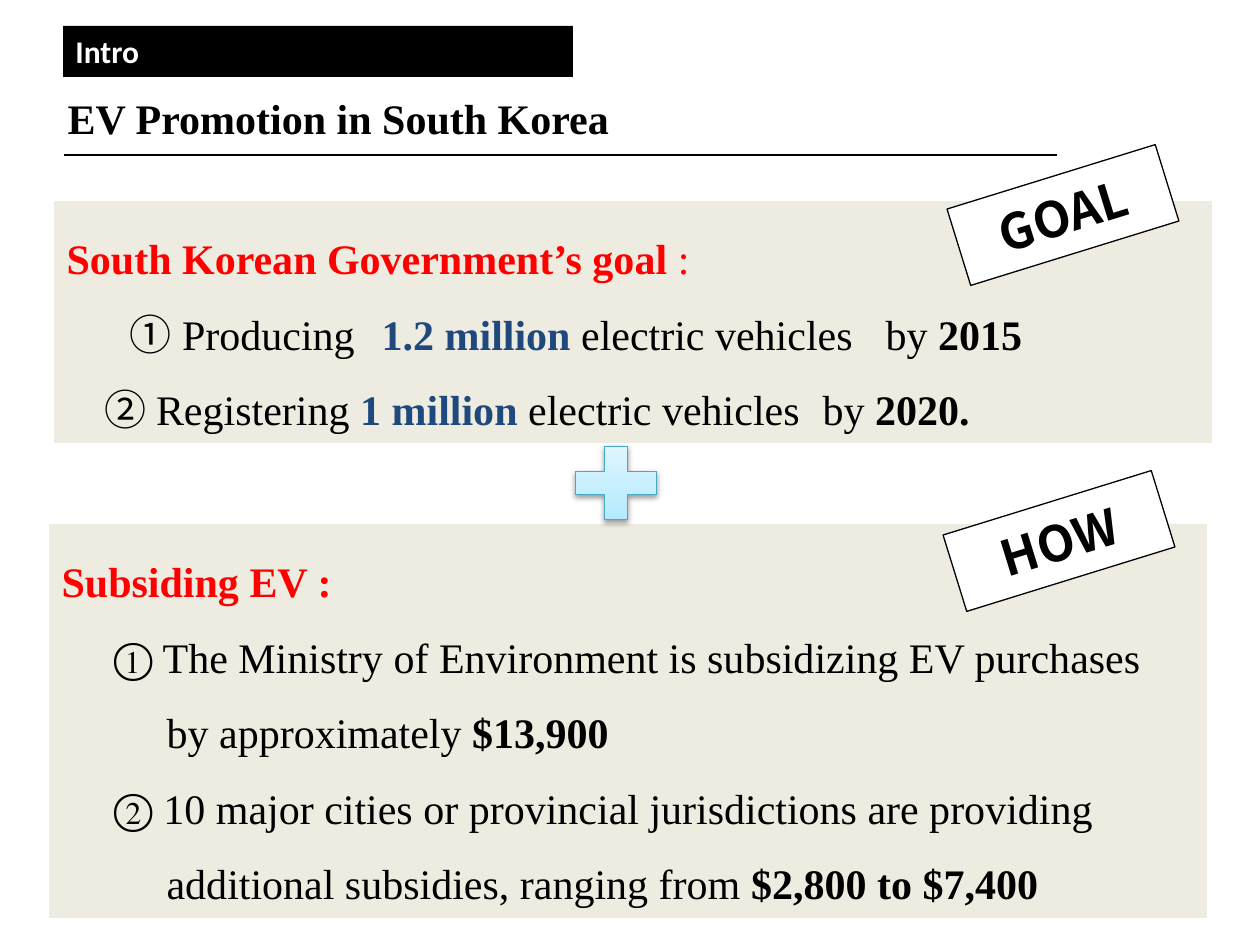
from lxml.etree import SubElement
from pptx import Presentation
from pptx.dml.color import RGBColor
from pptx.enum.shapes import MSO_CONNECTOR, MSO_SHAPE
from pptx.enum.text import MSO_ANCHOR, MSO_AUTO_SIZE, PP_ALIGN
from pptx.oxml import parse_xml
from pptx.oxml.ns import nsdecls, qn
from pptx.util import Pt

EMU_PER_PX = 914400 / 126
SERIF, SANS, KOREAN = "Times New Roman", "Calibri", "Noto Sans CJK KR"
COLORS = {
    "black": "000000", "white": "FFFFFF", "panel": "EEECE1",
    "red": "FF0000", "navy": "1F497D", "plus_line": "46AAC5",
    "plus_low": "A7E6FF", "plus_middle": "C1EDFF", "plus_high": "E7F8FF",
}


def px(length):
    return round(length * EMU_PER_PX)


def color(name):
    return RGBColor.from_string(COLORS[name])


def place(shape, left, top, width, height):
    shape.left, shape.top = px(left), px(top)
    shape.width, shape.height = px(width), px(height)


def add_run(paragraph, text, size=24, ink="black", bold=False, face=SERIF):
    run = paragraph.add_run()
    run.text = text
    run.font.size = Pt(size)
    run.font.bold = bold
    run.font.name = face
    run.font.color.rgb = color(ink)
    # Circled digits take the East Asian typeface
    SubElement(run.font._element, qn("a:ea"), typeface=face)


def format_line(paragraph, indent, tabs):
    """Remove the bullet and set the first-line indent and tab stops."""
    properties = paragraph._p.get_or_add_pPr()
    properties.set("marL", "0")
    properties.set("indent", str(px(indent)))
    SubElement(properties, qn("a:buNone"))
    if tabs:
        tab_list = SubElement(properties, qn("a:tabLst"))
        for position in tabs:
            SubElement(tab_list, qn("a:tab"), pos=str(px(position)), algn="l")
    paragraph.line_spacing = 1.5
    paragraph.space_before = Pt(0)


def fill_panel(placeholder, box, lines):
    """Write lines of (indent, tab stops, runs) on a beige panel."""
    place(placeholder, *box)
    placeholder.fill.solid()
    placeholder.fill.fore_color.rgb = color("panel")
    frame = placeholder.text_frame
    frame.auto_size = MSO_AUTO_SIZE.NONE
    frame.vertical_anchor = MSO_ANCHOR.TOP
    for number, (indent, tabs, runs) in enumerate(lines):
        paragraph = frame.add_paragraph() if number else frame.paragraphs[0]
        format_line(paragraph, indent, tabs)
        for text, style in runs:
            add_run(paragraph, text, **style)


def set_title(title, text):
    place(title, 55, 79, 1205, 78)
    title.text_frame.auto_size = MSO_AUTO_SIZE.NONE
    title.text_frame.vertical_anchor = MSO_ANCHOR.MIDDLE
    paragraph = title.text_frame.paragraphs[0]
    paragraph.alignment = PP_ALIGN.LEFT
    add_run(paragraph, text, bold=True)


def add_rectangle(slide, box, fill):
    shape = slide.shapes.add_shape(MSO_SHAPE.RECTANGLE, *map(px, box))
    shape.shadow.inherit = False
    shape.fill.solid()
    shape.fill.fore_color.rgb = color(fill)
    return shape


def add_section_bar(slide, text):
    shape = add_rectangle(slide, (63, 26, 510, 51), "black")
    shape.line.fill.background()
    shape.text_frame.vertical_anchor = MSO_ANCHOR.TOP
    paragraph = shape.text_frame.paragraphs[0]
    paragraph.alignment = PP_ALIGN.LEFT
    add_run(paragraph, text, 18, "white", True, SANS)


def add_tag(slide, left, top, text):
    shape = add_rectangle(slide, (left, top, 218, 80), "white")
    shape.rotation = 342.8
    shape.line.color.rgb = color("black")
    shape.line.width = Pt(0.75)
    shape.text_frame.word_wrap = False
    shape.text_frame.vertical_anchor = MSO_ANCHOR.MIDDLE
    paragraph = shape.text_frame.paragraphs[0]
    paragraph.alignment = PP_ALIGN.CENTER
    add_run(paragraph, text, 28, bold=True, face=KOREAN)


def add_title_rule(slide):
    rule = slide.shapes.add_connector(
        MSO_CONNECTOR.STRAIGHT, px(64), px(155), px(1057), px(155))
    rule.line.color.rgb = color("black")
    rule.line.width = Pt(1)
    SubElement(rule._element.spPr, qn("a:effectLst"))


def add_plus(slide):
    shape = slide.shapes.add_shape(
        MSO_SHAPE.MATH_PLUS, px(561), px(433), px(110), px(100))
    shape.line.color.rgb = color("plus_line")
    shape.line.width = Pt(0.75)
    shape.fill.gradient()
    properties = shape._element.spPr
    stops = ((0, "plus_low"), (35, "plus_middle"), (100, "plus_high"))
    stop_xml = "".join(
        f'<a:gs pos="{percent * 1000}"><a:srgbClr val="{COLORS[name]}"/></a:gs>'
        for percent, name in stops)
    gradient = parse_xml(
        f'<a:gradFill {nsdecls("a")} rotWithShape="1"><a:gsLst>{stop_xml}</a:gsLst>'
        '<a:lin ang="16200000" scaled="1"/></a:gradFill>')
    properties.replace(properties.find(qn("a:gradFill")), gradient)
    properties.append(parse_xml(
        f'<a:effectLst {nsdecls("a")}><a:outerShdw blurRad="40000" dist="20000" '
        f'dir="5400000" rotWithShape="0"><a:srgbClr val="{COLORS["black"]}">'
        '<a:alpha val="38000"/></a:srgbClr></a:outerShdw></a:effectLst>'))


def main():
    presentation = Presentation()
    presentation.slide_width, presentation.slide_height = px(1260), px(945)
    slide = presentation.slides.add_slide(presentation.slide_layouts[3])
    title, goal_panel, how_panel = slide.placeholders

    plain, bold, korean = {}, {"bold": True}, {"face": KOREAN}
    heading = {"ink": "red", "bold": True}
    figure = {"ink": "navy", "bold": True}
    goal_lines = [
        (0, (), [("South Korean Government’s goal ", heading),
                 (":", {"ink": "red"})]),
        (63, (320, 822), [("①", korean), (" Producing\t", plain),
                          ("1.2 million ", figure),
                          ("electric vehicles\tby ", plain), ("2015", bold)]),
        (38, (796,), [("② ", korean), ("Registering ", plain),
                      ("1 million ", figure),
                      ("electric vehicles\tby ", plain), ("2020.", bold)]),
    ]
    how_lines = [
        (0, (), [("Subsiding EV :", heading)]),
        (52, (), [("① The Ministry of Environment is subsidizing EV purchases",
                   plain)]),
        (105, (), [("by approximately ", plain), ("$13,900", bold)]),
        (52, (), [("② 10 major cities or provincial jurisdictions are providing",
                   plain)]),
        (105, (), [("additional subsidies, ranging from ", plain),
                   ("$2,800 to $7,400", bold)]),
    ]

    fill_panel(goal_panel, (54, 201, 1158, 242), goal_lines)
    fill_panel(how_panel, (49, 524, 1158, 394), how_lines)
    set_title(title, "EV Promotion in South Korea")
    add_section_bar(slide, "Intro")
    add_title_rule(slide)
    add_plus(slide)
    add_tag(slide, 954, 175, "GOAL")
    add_tag(slide, 950, 501, "HOW")
    presentation.save("out.pptx")


if __name__ == "__main__":
    main()
